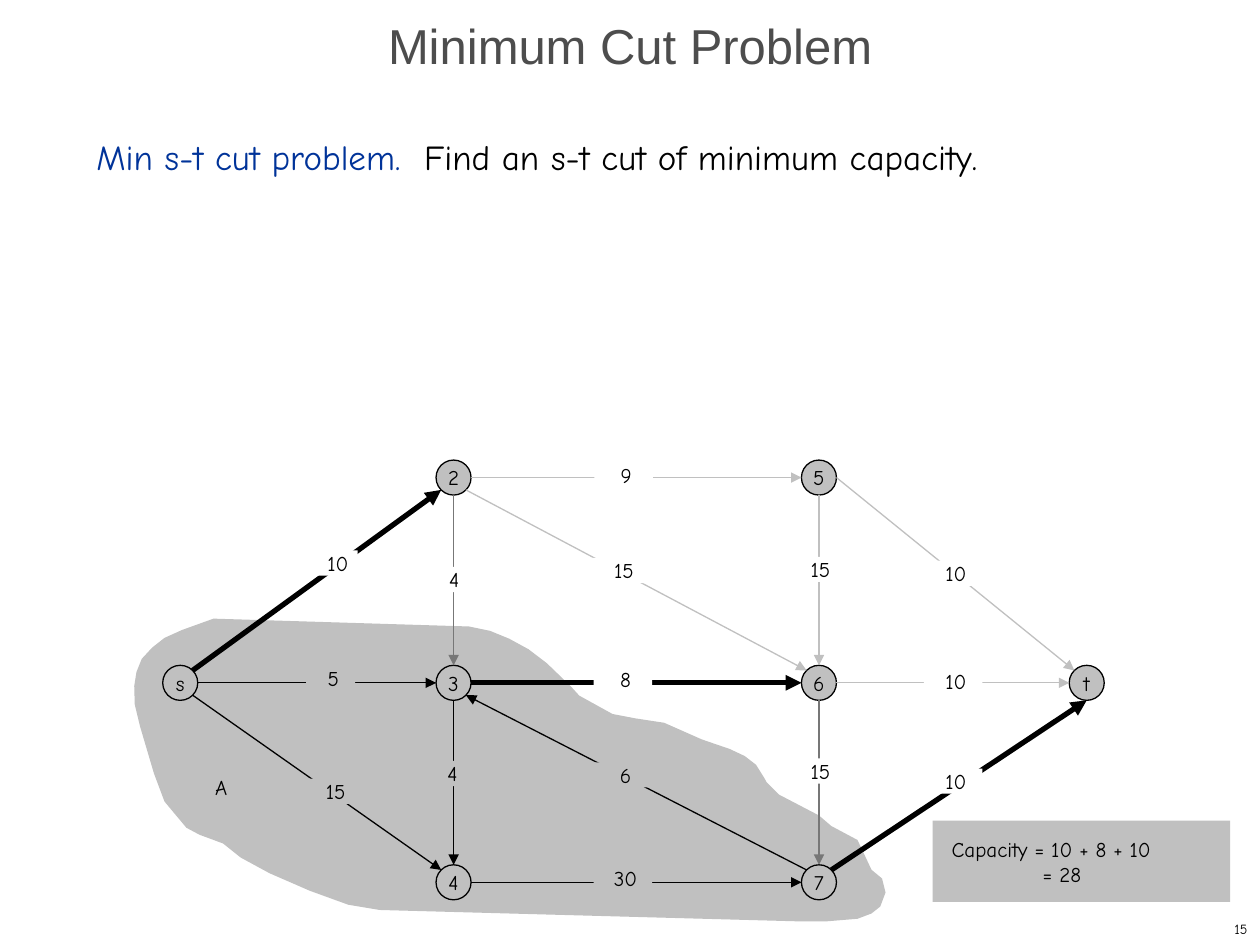
from dataclasses import dataclass
from math import cos, radians, sin

from lxml.etree import SubElement
from pptx import Presentation
from pptx.dml.color import RGBColor
from pptx.enum.shapes import MSO_CONNECTOR, MSO_SHAPE
from pptx.enum.text import MSO_ANCHOR, MSO_AUTO_SIZE, PP_ALIGN
from pptx.oxml.ns import qn
from pptx.util import Pt

COLORS = {"ink": "000000", "gray": "C0C0C0", "mid": "777777",
          "white": "FFFFFF", "blue": "003399", "title": "4D4D4D"}
BODY_FONT = "Comic Neue"
NODE_SIZE = 20
LABEL_HEIGHT = 14.4
# Directions in which an edge leaves or meets a node, in degrees
ANGLES = {"E": 0, "SE": 45, "S": 90, "SW": 135, "W": 180, "NW": 225, "N": 270, "NE": 315}


@dataclass
class Node:
    x: float
    y: float


@dataclass
class Edge:
    start: str
    start_side: str
    end: str
    end_side: str
    capacity: str
    label_x: float
    label_y: float
    color: str = "ink"
    weight: float = 0.75
    label_fill: str = "white"
    label_indent: float = 3
    label_width: float = 33.5


LEFT, RIGHT = 259.2, 468
TOP, MIDDLE, BOTTOM = 272.9, 390.2, 504.2
NODES = {
    "s": Node(103, MIDDLE), "2": Node(LEFT, TOP), "3": Node(LEFT, MIDDLE),
    "4": Node(LEFT, BOTTOM), "5": Node(RIGHT, TOP), "6": Node(RIGHT, MIDDLE),
    "7": Node(RIGHT, BOTTOM), "t": Node(621, MIDDLE),
}
EDGES = [
    Edge("s", "NE", "2", "SW", "10", 187.6, 321.8, weight=3, label_indent=11),
    Edge("s", "E", "3", "W", "5", 189, 387.4, label_fill="gray", label_width=28),
    Edge("s", "SE", "4", "NW", "15", 190.4, 452.2, label_fill="gray"),
    Edge("3", "E", "6", "W", "8", 356, 388, weight=3),
    Edge("7", "NW", "3", "SE", "6", 356, 442.8, label_fill="gray"),
    Edge("3", "S", "4", "N", "4", 257, 442, label_fill="gray"),
    Edge("2", "E", "5", "W", "9", 356.4, 271.4, "gray"),
    Edge("4", "E", "7", "W", "30", 356, 501.8, label_fill="gray"),
    Edge("2", "S", "3", "N", "4", 258.1, 331.2, "mid"),
    Edge("6", "S", "7", "N", "15", 467.3, 440.6, "mid"),
    Edge("5", "S", "6", "N", "15", 467.3, 325.4, "gray"),
    Edge("2", "SE", "6", "NW", "15", 355, 326, "gray"),
    Edge("5", "E", "t", "NW", "10", 540.7, 327.6, "gray", label_indent=11),
    Edge("6", "E", "t", "W", "10", 544.7, 389.5, "gray"),
    Edge("7", "NE", "t", "S", "10", 544.7, 446.4, weight=3),
]
CUT_OUTLINE = [
    (438, 447), (445, 454), (468, 466), (475, 472), (490, 480), (498, 497), (504, 502),
    (506, 510), (503, 518), (498, 522), (490, 525), (472, 526.5), (457, 526.5), (217, 520),
    (199, 517), (177, 509), (154, 499), (137.5, 490), (127.5, 482), (114, 477),
    (106.5, 473), (96.5, 461), (94, 458), (88, 442), (80, 415), (77, 402.5), (76.7, 392),
    (78, 384), (81, 376.5), (87, 370), (94, 364.5), (104, 360), (122, 353.5), (268, 358),
    (280, 360.5), (291, 365), (302, 371), (312.5, 379), (326, 392), (331, 397.5),
    (350, 408), (363, 410.5), (379.5, 413), (401, 422.5), (417, 428), (425.5, 432),
    (432, 437), (437, 445),
]


def rgb(name: str) -> RGBColor:
    return RGBColor.from_string(COLORS[name])


def set_all(target, values: dict) -> None:
    for name, value in values.items():
        setattr(target, name, value)


def set_frame(shape, margins=(7.2, 3.6, 7.2, 3.6), anchor=MSO_ANCHOR.TOP, wrap=True):
    left, top, right, bottom = margins
    set_all(shape.text_frame, {
        "auto_size": MSO_AUTO_SIZE.NONE, "word_wrap": wrap, "vertical_anchor": anchor,
        "margin_left": Pt(left), "margin_top": Pt(top),
        "margin_right": Pt(right), "margin_bottom": Pt(bottom)})
    return shape.text_frame


def add_span(para, text: str, size: float, color: str = "ink", font: str = BODY_FONT) -> None:
    span = para.add_run()
    span.text = text
    set_all(span.font, {"name": font, "size": Pt(size)})
    span.font.color.rgb = rgb(color)


def fill_plain(shape, color: str) -> None:
    shape.shadow.inherit = False
    shape.fill.solid()
    shape.fill.fore_color.rgb = rgb(color)
    shape.line.fill.background()


def add_node(page, name: str, node: Node) -> None:
    half = NODE_SIZE / 2
    circle = page.shapes.add_shape(MSO_SHAPE.OVAL, Pt(node.x - half), Pt(node.y - half),
                                   Pt(NODE_SIZE), Pt(NODE_SIZE))
    fill_plain(circle, "gray")
    circle.line.color.rgb = rgb("ink")
    circle.line.width = Pt(0.75)
    para = set_frame(circle, anchor=MSO_ANCHOR.MIDDLE, wrap=False).paragraphs[0]
    para.alignment = PP_ALIGN.CENTER
    add_span(para, name, 12)


def rim_point(name: str, side: str) -> tuple:
    node, angle = NODES[name], radians(ANGLES[side])
    return (Pt(node.x + NODE_SIZE / 2 * cos(angle)), Pt(node.y + NODE_SIZE / 2 * sin(angle)))


def add_edge(page, edge: Edge) -> None:
    arrow = page.shapes.add_connector(MSO_CONNECTOR.STRAIGHT,
                                      *rim_point(edge.start, edge.start_side),
                                      *rim_point(edge.end, edge.end_side))
    arrow.line.color.rgb = rgb(edge.color)
    arrow.line.width = Pt(edge.weight)
    SubElement(arrow.line._get_or_add_ln(), qn("a:tailEnd"), type="triangle")
    SubElement(arrow._element.spPr, qn("a:effectLst"))


def add_label(page, text: str, x: float, y: float, width: float, indent: float, fill: str = ""):
    place = (Pt(x - width / 2), Pt(y - LABEL_HEIGHT / 2), Pt(width), Pt(LABEL_HEIGHT))
    if fill:
        label = page.shapes.add_shape(MSO_SHAPE.RECTANGLE, *place)
        fill_plain(label, fill)
    else:
        label = page.shapes.add_textbox(*place)
    para = set_frame(label, (indent, 0, 0, 0)).paragraphs[0]
    para.alignment = PP_ALIGN.CENTER
    add_span(para, text, 12)


deck = Presentation()
set_all(deck, {"slide_width": Pt(720), "slide_height": Pt(540)})
page = deck.slides.add_slide(deck.slide_layouts[5])

# Title
title = page.shapes.title
set_all(title, {"left": Pt(0), "top": Pt(12), "width": Pt(720), "height": Pt(36)})
para = set_frame(title, anchor=MSO_ANCHOR.MIDDLE).paragraphs[0]
set_all(para, {"alignment": PP_ALIGN.CENTER, "line_spacing": 0.7})
add_span(para, "Minimum Cut Problem", 28, "title", "Arial")

# Problem statement
box = page.shapes.add_textbox(Pt(48), Pt(72), Pt(618), Pt(426))
para = set_frame(box).paragraphs[0]
para.line_spacing = Pt(26)
add_span(para, "Min s-t cut problem.  ", 20, "blue")
add_span(para, "Find an s-t cut of minimum capacity.", 20)

# Region of the cut
first, *rest = [(Pt(x), Pt(y)) for x, y in CUT_OUTLINE]
builder = page.shapes.build_freeform(*first, scale=1.0)
builder.add_line_segments(rest, close=True)
fill_plain(builder.convert_to_shape(), "gray")

# Network
for name, node in NODES.items():
    add_node(page, name, node)
for edge in EDGES:
    add_edge(page, edge)
for edge in EDGES:
    add_label(page, edge.capacity, edge.label_x, edge.label_y, edge.label_width,
              edge.label_indent, edge.label_fill)
add_label(page, "A", 121, 450, 33.5, 11)

# Capacity of the cut
box = page.shapes.add_shape(MSO_SHAPE.RECTANGLE, Pt(533), Pt(469), Pt(170), Pt(46.5))
fill_plain(box, "gray")
frame = set_frame(box, (10.8, 7.2, 7.2, 7.2), MSO_ANCHOR.MIDDLE)
for para, text, indent in ((frame.paragraphs[0], "Capacity = 10 + 8 + 10", 0),
                           (frame.add_paragraph(), "= 28", 52)):
    para.alignment = PP_ALIGN.LEFT
    para._p.get_or_add_pPr().set("marL", str(Pt(indent)))
    add_span(para, text, 12)

# Page number
box = page.shapes.add_textbox(Pt(570), Pt(522), Pt(150), Pt(18))
para = set_frame(box, anchor=MSO_ANCHOR.MIDDLE).paragraphs[0]
para.alignment = PP_ALIGN.RIGHT
add_span(para, "15", 8)

deck.save("out.pptx")
